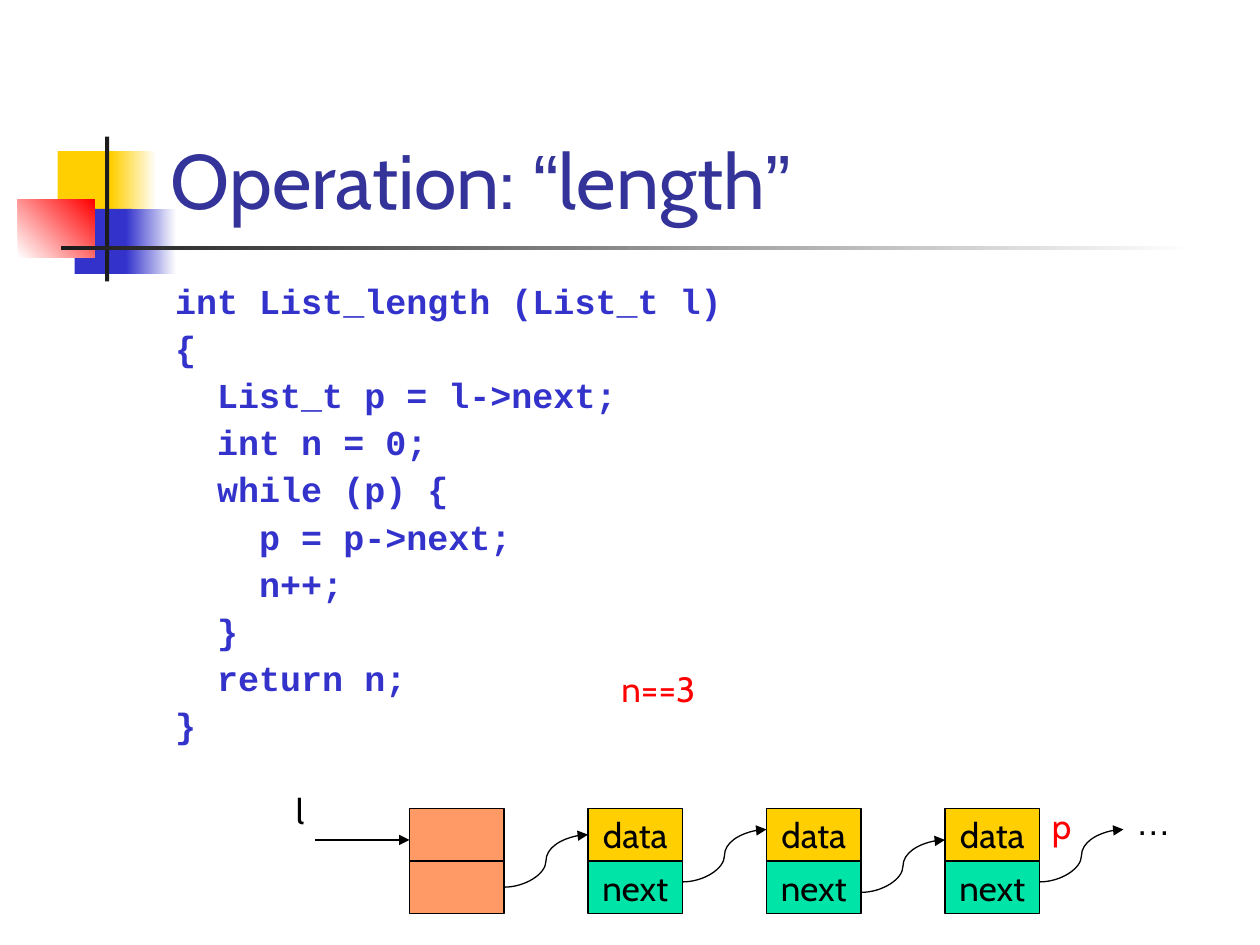
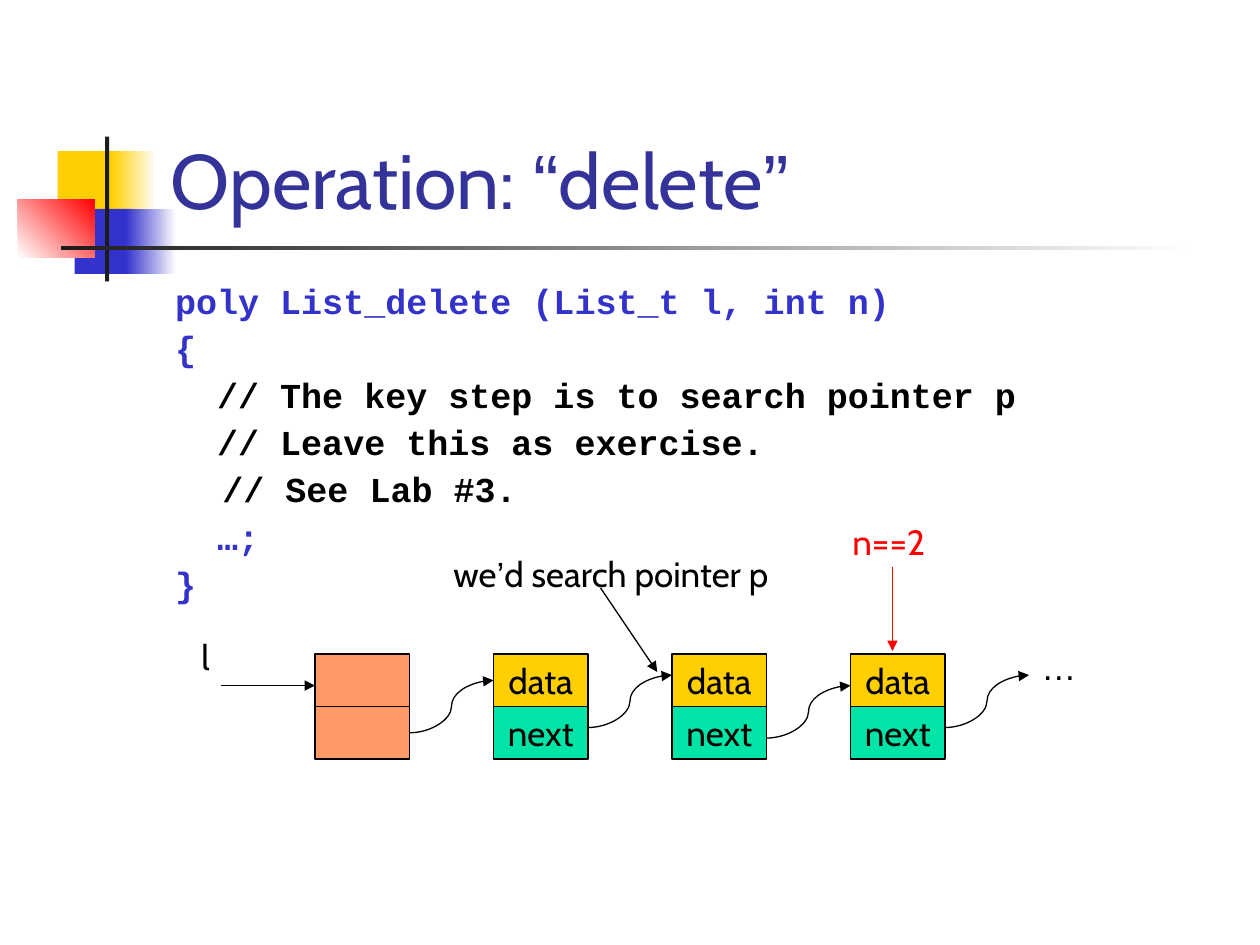
from itertools import groupby
from typing import NamedTuple

from lxml import etree
from pptx import Presentation
from pptx import util as u
from pptx.dml.color import RGBColor
from pptx.enum import shapes, text
from pptx.oxml import ns

PX = 7620
COLORS = {
    "white": "FFFFFF", "black": "000000", "ink": "1C1C1C", "title": "333399",
    "code": "3333CC", "yellow": "FFCF01", "red": "FF0000",
    "head": "FF9966", "next": "00E4A8",
}
SYMBOLS = "“”’…"
NODE_W, NODE_H, NODE_STEP = 90, 50, 170
LINK_W, LINK_RISE = 80, 50


class Box(NamedTuple):
    x: int
    y: int
    w: int
    h: int


class Band(NamedTuple):
    box: Box
    color: str
    fade_to: str = ""
    angle: int = 0


class Label(NamedTuple):
    words: str
    box: Box
    color: str = "black"
    wrap: bool = True


class Arrow(NamedTuple):
    x1: int
    y1: int
    x2: int
    y2: int
    color: str = "black"
    kind: shapes.MSO_CONNECTOR = shapes.MSO_CONNECTOR.STRAIGHT


class Page(NamedTuple):
    title: str
    code: str
    chain_x: int
    chain_y: int
    labels: list[Label]
    arrows: list[Arrow]


BANDS = [
    Band(Box(55, 144, 58, 62), "yellow"),
    Band(Box(106, 144, 43, 62), "yellow", "white"),
    Band(Box(71, 199, 55, 62), "code"),
    Band(Box(120, 199, 48, 62), "code", "white"),
    Band(Box(17, 190, 73, 55), "white", "red", 45),
    Band(Box(100, 130, 4, 138), "ink"),
    Band(Box(58, 234, 1080, 4), "ink", "white"),
]

LENGTH_CODE = """int List_length (List_t l)
{
  List_t p = l->next;
  int n = 0;
  while (p) {
    p = p->next;
    n++;
  }
  return n;
}"""

DELETE_CODE = """poly List_delete (List_t l, int n)
{
  // The key step is to search pointer p
  // Leave this as exercise.
\t// See Lab #3.
  …;
}"""

PAGES = [
    Page("Operation: “length”", LENGTH_CODE, 390, 770,
         [Label("p", Box(990, 760, 50, 52), "red"),
          Label("n==3", Box(580, 630, 150, 52), "red")],
         []),
    Page("Operation: “delete”", DELETE_CODE, 300, 623,
         [Label("n==2", Box(800, 490, 150, 52), "red"),
          Label("we’d search pointer p", Box(420, 520, 380, 52))],
         [Arrow(850, 540, 850, 620, "red"), Arrow(572, 560, 626, 640)]),
]


def rgb(name: str) -> RGBColor:
    return RGBColor.from_string(COLORS[name])


def emu(lengths) -> list[int]:
    return [n * PX for n in lengths]


def style(r, size: int, font: str, color: str, bold: bool = False) -> None:
    r.font.size = u.Pt(size)
    r.font.name = font
    r.font.bold = bold
    r.font.color.rgb = rgb(color)


def write(p, words: str, size: int, color: str) -> None:
    for is_symbol, chars in groupby(words, lambda ch: ch in SYMBOLS):
        r = p.add_run()
        r.text = "".join(chars)
        style(r, size, "Arial" if is_symbol else "Cabin", color)


def add_text_frame(s, box: Box, wrap: bool = True):
    tf = s.shapes.add_textbox(*emu(box)).text_frame
    tf.word_wrap = wrap
    return tf


def add_rect(s, box: Box):
    sp = s.shapes.add_shape(shapes.MSO_SHAPE.RECTANGLE, *emu(box))
    sp.shadow.inherit = False
    return sp


def add_band(s, band: Band) -> None:
    sp = add_rect(s, band.box)
    sp.line.fill.background()
    if band.fade_to:
        sp.fill.gradient()
        sp.fill.gradient_angle = band.angle
        for stop, name in zip(sp.fill.gradient_stops, (band.color, band.fade_to)):
            stop.color.rgb = rgb(name)
    else:
        sp.fill.solid()
        sp.fill.fore_color.rgb = rgb(band.color)


def add_title(s, title: str) -> None:
    tf = add_text_frame(s, Box(151, 28, 1022, 192))
    tf.vertical_anchor = text.MSO_ANCHOR.BOTTOM
    write(tf.paragraphs[0], title, 44, "title")


def add_code(s, code: str) -> None:
    tf = add_text_frame(s, Box(155, 265, 1020, 540))
    tf.text = code
    for i, p in enumerate(tf.paragraphs):
        p.line_spacing = 0.9
        p.space_before = u.Pt(5.3 if i else 0)
        pPr = p._p.get_or_add_pPr()
        pPr.set("marL", str(45 * PX))
        pPr.set("indent", str(-45 * PX))
        color = "black" if p.text.strip().startswith("//") else "code"
        for r in p.runs:
            style(r, 20, "Courier New", color, True)


def add_label(s, label: Label) -> None:
    tf = add_text_frame(s, label.box, label.wrap)
    write(tf.paragraphs[0], label.words, 20, label.color)


def add_arrow(s, arrow: Arrow):
    c = s.shapes.add_connector(arrow.kind, *emu(arrow[:4]))
    c.line.color.rgb = rgb(arrow.color)
    c.line.width = u.Pt(0.75)
    spPr = c.element.spPr
    etree.SubElement(spPr.find(ns.qn("a:ln")), ns.qn("a:tailEnd"), type="triangle")
    etree.SubElement(spPr, ns.qn("a:effectLst"))
    return c


def add_cell(s, x: int, y: int, color: str, words: str = ""):
    sp = add_rect(s, Box(x, y, NODE_W, NODE_H))
    sp.fill.solid()
    sp.fill.fore_color.rgb = rgb(color)
    sp.line.color.rgb = rgb("black")
    sp.line.width = u.Pt(0.75)
    if words:
        tf = sp.text_frame
        tf.word_wrap = False
        tf.vertical_anchor = text.MSO_ANCHOR.MIDDLE
        p = tf.paragraphs[0]
        p.alignment = text.PP_ALIGN.CENTER
        write(p, words, 20, "black")
    return sp


def add_chain(s, x: int, y: int) -> None:
    add_cell(s, x, y, "head")
    head_next = add_cell(s, x, y + NODE_H, "head")
    data_cells = []
    for i in range(1, 4):
        node_x = x + i * NODE_STEP
        data_cells.append(add_cell(s, node_x, y, "yellow", "data"))
        add_cell(s, node_x, y + NODE_H, "next", "next")

    add_arrow(s, Arrow(x - 90, y + 30, x, y + 30))
    add_label(s, Label("l", Box(x - 120, y - 24, 32, 52), wrap=False))
    links = []
    for i, drop in enumerate((75, 70, 80, 70)):
        start = x + i * NODE_STEP + NODE_W
        links.append(add_arrow(s, Arrow(
            start, y + drop, start + LINK_W, y + drop - LINK_RISE,
            kind=shapes.MSO_CONNECTOR.CURVE)))
    links[0].begin_connect(head_next, 3)
    links[0].end_connect(data_cells[0], 1)
    add_label(s, Label("…", Box(x + 4 * NODE_STEP, y - 14, 90, 52)))


def add_page(prs, page: Page) -> None:
    s = prs.slides.add_slide(prs.slide_layouts[6])
    for band in BANDS:
        add_band(s, band)
    add_title(s, page.title)
    add_code(s, page.code)
    add_chain(s, page.chain_x, page.chain_y)
    for label in page.labels:
        add_label(s, label)
    for arrow in page.arrows:
        add_arrow(s, arrow)


def main() -> None:
    prs = Presentation()
    prs.slide_width, prs.slide_height = emu((1200, 900))
    for page in PAGES:
        add_page(prs, page)
    prs.save("out.pptx")


if __name__ == "__main__":
    main()
